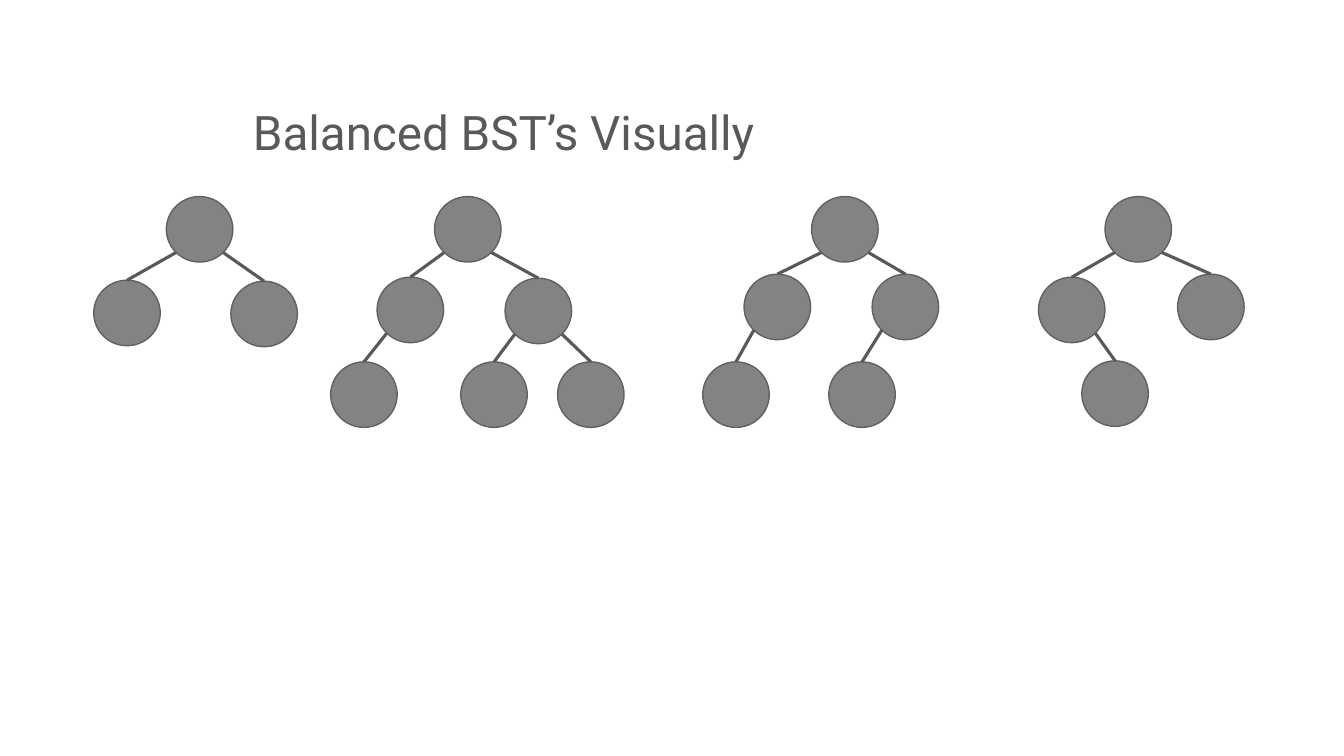
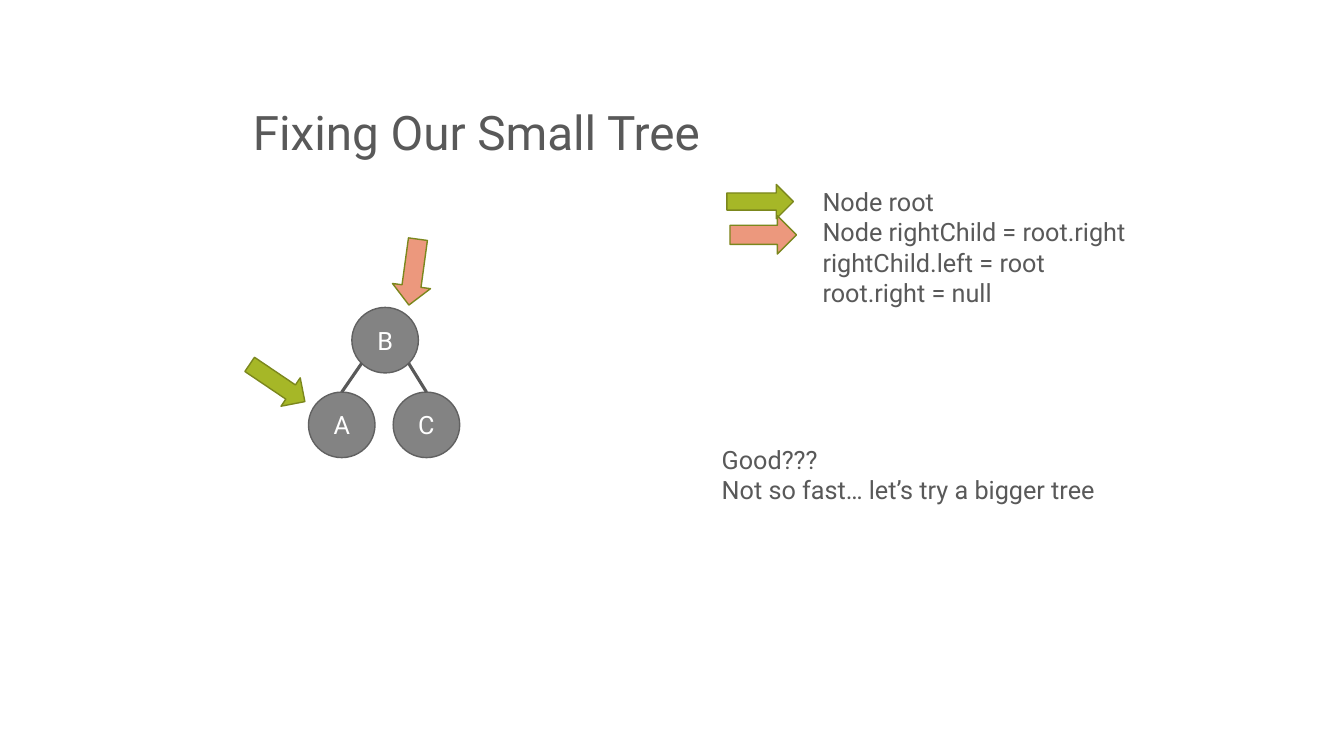
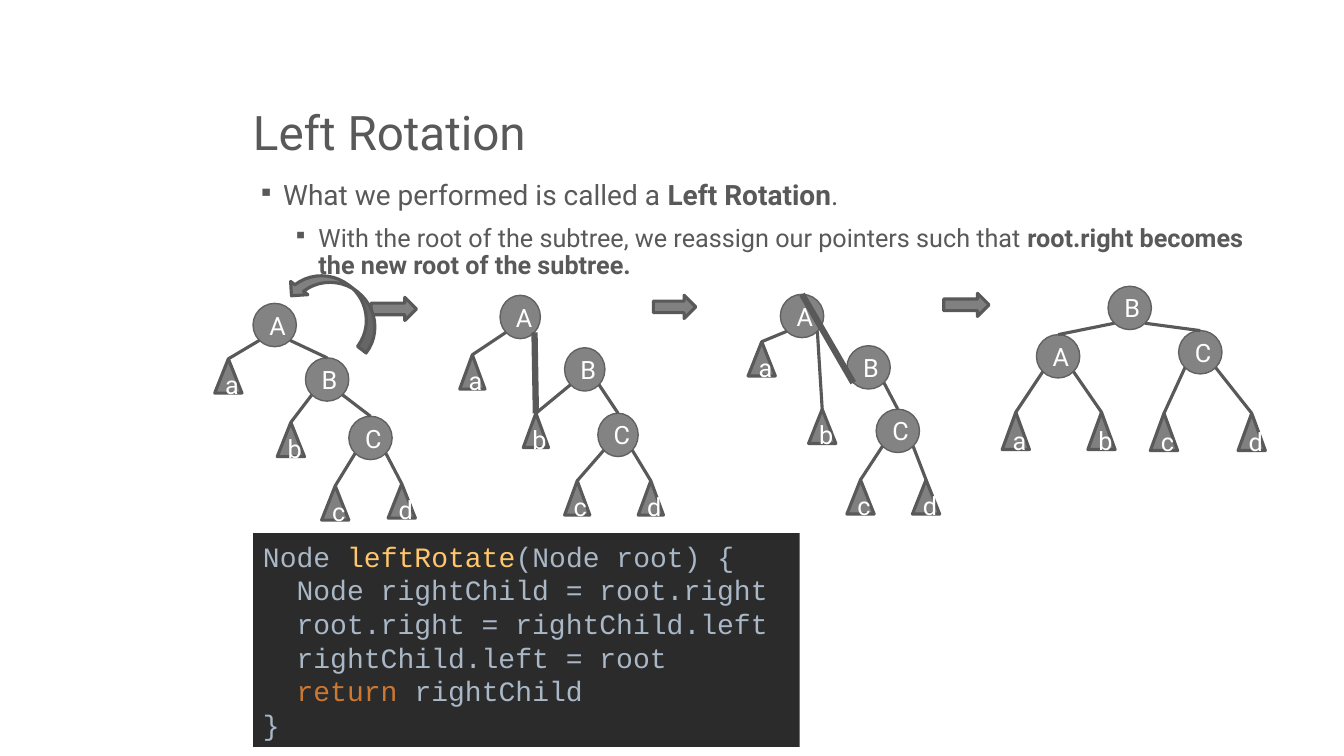
from lxml.etree import SubElement
from pptx import Presentation
from pptx.dml.color import RGBColor
from pptx.enum.shapes import MSO_CONNECTOR as LINK, MSO_SHAPE as SHAPE
from pptx.enum.text import MSO_ANCHOR as ANCHOR, PP_ALIGN as ALIGN
from pptx.oxml.ns import qn
from pptx.util import Cm, Pt

UNIT = 2.54  # cm in one step of the layout grid
FONT, MONO = "Roboto", "Courier New"
HUES = {
    "text": "595959", "white": "FFFFFF",
    "node": "838383", "rim": "616161", "leaf": "808080",
    "green": "A6B727", "coral": "EC987D", "olive": "7B871D",
    "board": "2B2B2B", "code": "A9B7C6", "name": "FFC66D", "key": "CC7832",
}
TITLE = (2.41, 0.33, 10.25, 1.31)
BIG, SMALL, SLIM = (0.66, 0.65), (0.43, 0.43), (0.4, 0.43)
LEAF, TALL, THIN = (0.27, 0.34), (0.27, 0.37), (0.25, 0.34)

# Capitals are round nodes, small letters are subtrees; an edge is parent + child.
SHAPES = [
    {"nodes": {"A": (1.65, 1.95), "B": (0.93, 2.78), "C": (2.29, 2.79)},
     "edges": "AB AC"},
    {"nodes": {"A": (4.31, 1.95), "B": (3.74, 2.75), "C": (5.01, 2.76),
               "D": (3.28, 3.59), "E": (4.57, 3.59), "F": (5.53, 3.59)},
     "edges": "AB AC BD CE CF"},
    {"nodes": {"A": (8.05, 1.95), "B": (7.38, 2.72), "C": (8.65, 2.72),
               "D": (6.97, 3.59), "E": (8.22, 3.59)},
     "edges": "AB AC BD CE"},
    {"nodes": {"A": (10.96, 1.95), "B": (10.3, 2.75), "C": (11.68, 2.72),
               "D": (10.73, 3.58)},
     "edges": "AB AC BD"},
]
FIXED = {"nodes": {"A": (3.06, 3.89), "B": (3.49, 3.05), "C": (3.9, 3.89)},
         "edges": "BA BC"}
STEPS = [
    {"nodes": {"A": (2.51, 3.01), "B": (3.03, 3.55), "C": (3.46, 4.13),
               "a": (2.13, 3.56), "b": (2.75, 4.19), "c": (3.19, 4.82),
               "d": (3.85, 4.8)},
     "edges": "AB BC Aa Bb Cc Cd"},
    {"nodes": {"A": (4.96, 2.93), "B": (5.6, 3.45), "C": (5.93, 4.1),
               "a": (4.56, 3.52), "b": (5.19, 4.1), "c": (5.6, 4.77),
               "d": (6.33, 4.77)},
     "edges": "BC Aa Bb Cc Cd", "bold": "Ab", "size": SLIM, "leaf": THIN},
    {"nodes": {"A": (7.74, 2.92), "B": (8.4, 3.43), "C": (8.69, 4.06),
               "a": (7.42, 3.39), "b": (8.02, 4.06), "c": (8.4, 4.76),
               "d": (9.05, 4.76)},
     "edges": "Ab BC Aa Cc Cd", "bold": "BA"},
    {"nodes": {"A": (10.28, 3.32), "B": (10.99, 2.84), "C": (11.69, 3.28),
               "a": (9.94, 4.09), "b": (10.79, 4.09), "c": (11.41, 4.1),
               "d": (12.28, 4.1)},
     "edges": "BA BC Aa Ab Cc Cd", "leaf": TALL},
]

# Place, colour, turn
MARKS = [
    ((2.42, 3.63, 0.66, 0.34), "green", 34),
    ((3.77, 2.51, 0.66, 0.38), "coral", 97.8),
    ((7.21, 1.83, 0.66, 0.34), "green", 0),
    ((7.24, 2.14, 0.66, 0.38), "coral", 0),
]
NEXT = [(3.68, 2.95, 0.45, 0.23), (6.48, 2.93, 0.42, 0.23), (9.36, 2.91, 0.45, 0.23)]
SWING = (2.83, 2.8, 1.04, 0.43)

NOTES = [
    ((8.06, 1.8, 4.06, 1.31),
     ["Node root", "Node rightChild = root.right", "rightChild.left = root",
      "root.right = null"]),
    ((7.06, 4.36, 4.16, 0.71),
     ["Good???", "Not so fast… let’s try a bigger tree"]),
]
# Size, indent, space before, runs with their weight
POINTS = [
    (20, 0.3, 0, [("What we performed is called a ", False),
                  ("Left Rotation", True), (".", False)]),
    (18, 0.65, 10, [("With the root of the subtree, we reassign our pointers such that ", False),
                    ("root.right becomes the new root of the subtree.", True)]),
]
CODE = [
    [("Node ", "code"), ("leftRotate", "name"), ("(Node root) {", "code")],
    [("  Node rightChild = root.right", "code")],
    [("  root.right = rightChild.left", "code")],
    [("  rightChild.left = root", "code")],
    [("  return ", "key"), ("rightChild", "code")],
    [("}", "code")],
]


def grid(*steps):
    return [Cm(step * UNIT) for step in steps]


def hue(name):
    return RGBColor.from_string(HUES[name])


def write(para, text, size, color="text", bold=False, font=FONT):
    run = para.add_run()
    run.text = text
    run.font.name, run.font.size, run.font.bold = font, Pt(size), bold
    run.font.color.rgb = hue(color)


def paras(frame, items):
    """Yield a paragraph of the frame for each item."""
    for i, item in enumerate(items):
        yield (frame.add_paragraph() if i else frame.paragraphs[0]), item


def add_box(slide, place):
    frame = slide.shapes.add_textbox(*grid(*place)).text_frame
    frame.word_wrap = True
    return frame


def add_form(slide, kind, place, fill, line=None, width=1, turn=0):
    form = slide.shapes.add_shape(kind, *grid(*place))
    form.shadow.inherit = False
    form.fill.solid()
    form.fill.fore_color.rgb = hue(fill)
    if line:
        form.line.color.rgb = hue(line)
        form.line.width = Pt(width)
    else:
        form.line.fill.background()
    form.rotation = turn
    return form


def add_edge(slide, start, end, width):
    edge = slide.shapes.add_connector(LINK.STRAIGHT, *grid(*start, *end))
    edge.line.color.rgb = hue("text")
    edge.line.width = Pt(width)
    SubElement(edge.element.spPr, qn("a:effectLst"))


def add_tree(slide, tree, size, named=True):
    size, leaf = tree.get("size", size), tree.get("leaf", LEAF)
    nodes = tree["nodes"]
    for name, spot in nodes.items():
        if name.isupper():
            form = add_form(slide, SHAPE.OVAL, spot + size, "node", "rim")
        else:
            form = add_form(slide, SHAPE.ISOSCELES_TRIANGLE, spot + leaf,
                            "leaf", "text", 2.25)
        if named:
            form.text_frame.vertical_anchor = ANCHOR.MIDDLE
            para = form.text_frame.paragraphs[0]
            para.alignment = ALIGN.CENTER
            write(para, name, 18, "white")

    bold = tree.get("bold", "").split()
    for pair in tree["edges"].split() + bold:
        up, down = pair
        wide, high = size
        left, top = nodes[up]
        mid = left + wide / 2
        tip = nodes[down][0] + (size if down.isupper() else leaf)[0] / 2
        side = 1 if tip > mid else -1
        # Leave the round node at 45 degrees, on the side of the child
        start = (mid + side * wide * 0.5 ** 1.5, top + high / 2 + high * 0.5 ** 1.5)
        add_edge(slide, start, (tip, nodes[down][1]), 4.5 if pair in bold else 2.25)


def add_slide(deck, title):
    slide = deck.slides.add_slide(deck.slide_layouts[6])
    frame = add_box(slide, TITLE)
    frame.vertical_anchor = ANCHOR.BOTTOM
    frame.paragraphs[0].line_spacing = 0.9
    write(frame.paragraphs[0], title, 34)
    return slide


def add_points(slide):
    for para, (size, dent, gap, runs) in paras(add_box(slide, (2.41, 1.75, 10.25, 1.1)), POINTS):
        props = para._p.get_or_add_pPr()
        props.set("marL", str(Cm(dent * UNIT)))
        props.set("indent", str(-Cm(0.25 * UNIT)))
        SubElement(props, qn("a:buSzPct"), val="80000")
        SubElement(props, qn("a:buChar"), char="▪")
        para.line_spacing = 0.9
        if gap:
            para.space_before = Pt(gap)
        for text, bold in runs:
            write(para, text, size, bold=bold)


def add_code(slide):
    frame = add_form(slide, SHAPE.RECTANGLE, (2.51, 5.29, 5.42, 2.12), "board").text_frame
    frame.word_wrap = True
    frame.vertical_anchor = ANCHOR.MIDDLE
    for para, runs in paras(frame, CODE):
        para.alignment = ALIGN.LEFT
        for text, color in runs:
            write(para, text, 20, color, font=MONO)


def main():
    deck = Presentation()
    deck.slide_width, deck.slide_height = grid(13.33, 7.5)

    slide = add_slide(deck, "Balanced BST’s Visually")
    for tree in SHAPES:
        add_tree(slide, tree, BIG, named=False)

    slide = add_slide(deck, "Fixing Our Small Tree")
    add_tree(slide, FIXED, BIG)
    for place, fill, turn in MARKS:
        add_form(slide, SHAPE.RIGHT_ARROW, place, fill, "olive", turn=turn)
    for place, lines in NOTES:
        for para, line in paras(add_box(slide, place), lines):
            write(para, line, 18)

    slide = add_slide(deck, "Left Rotation")
    add_points(slide)
    for tree in STEPS:
        add_tree(slide, tree, SMALL)
    for place in NEXT:
        add_form(slide, SHAPE.RIGHT_ARROW, place, "leaf", "text", 2.25)
    add_code(slide)
    swing = add_form(slide, SHAPE.CURVED_DOWN_ARROW, SWING, "leaf", "text", 2.25, 37.5)
    swing.element.spPr.get_or_add_xfrm().set("flipH", "1")

    deck.save("out.pptx")


if __name__ == "__main__":
    main()
